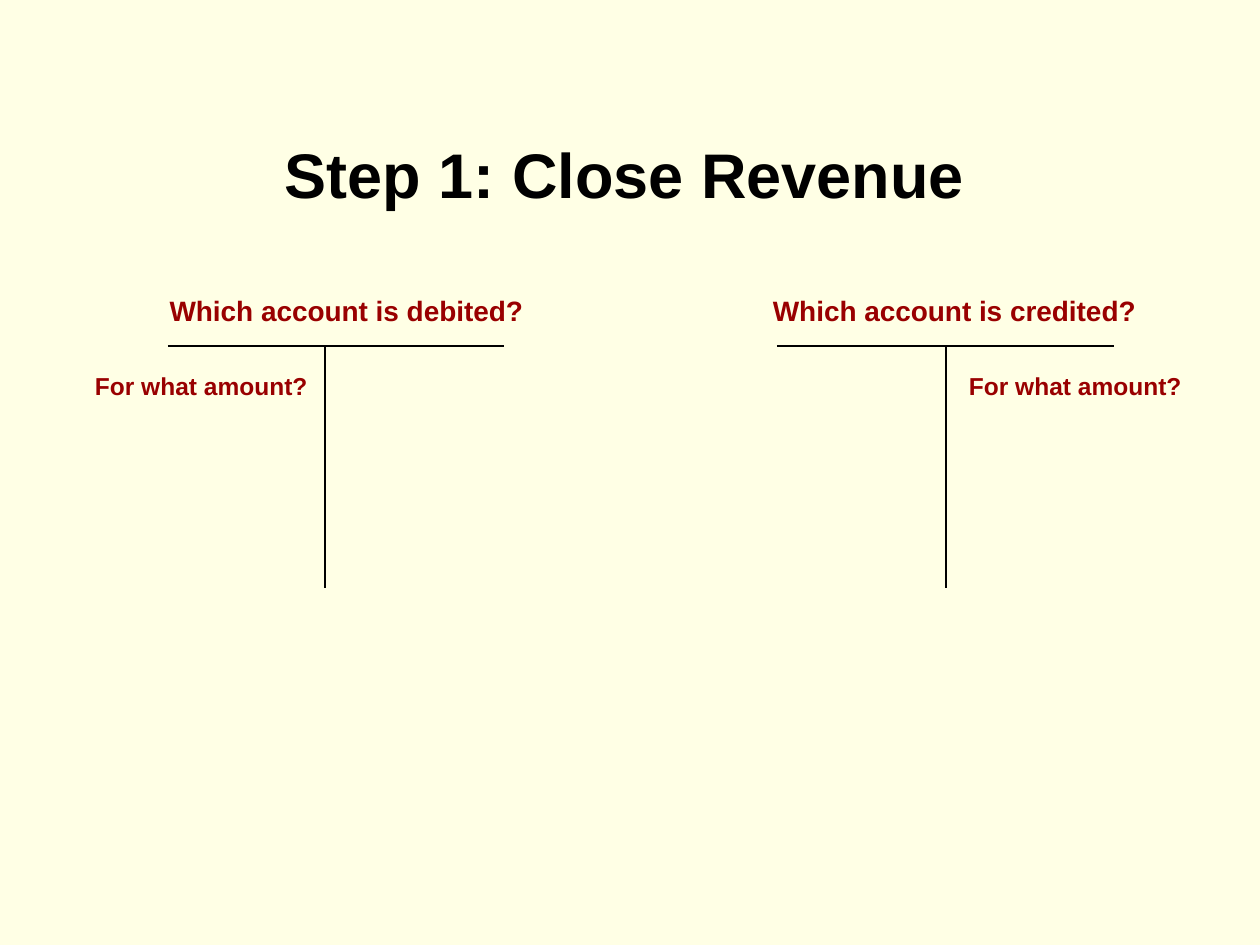
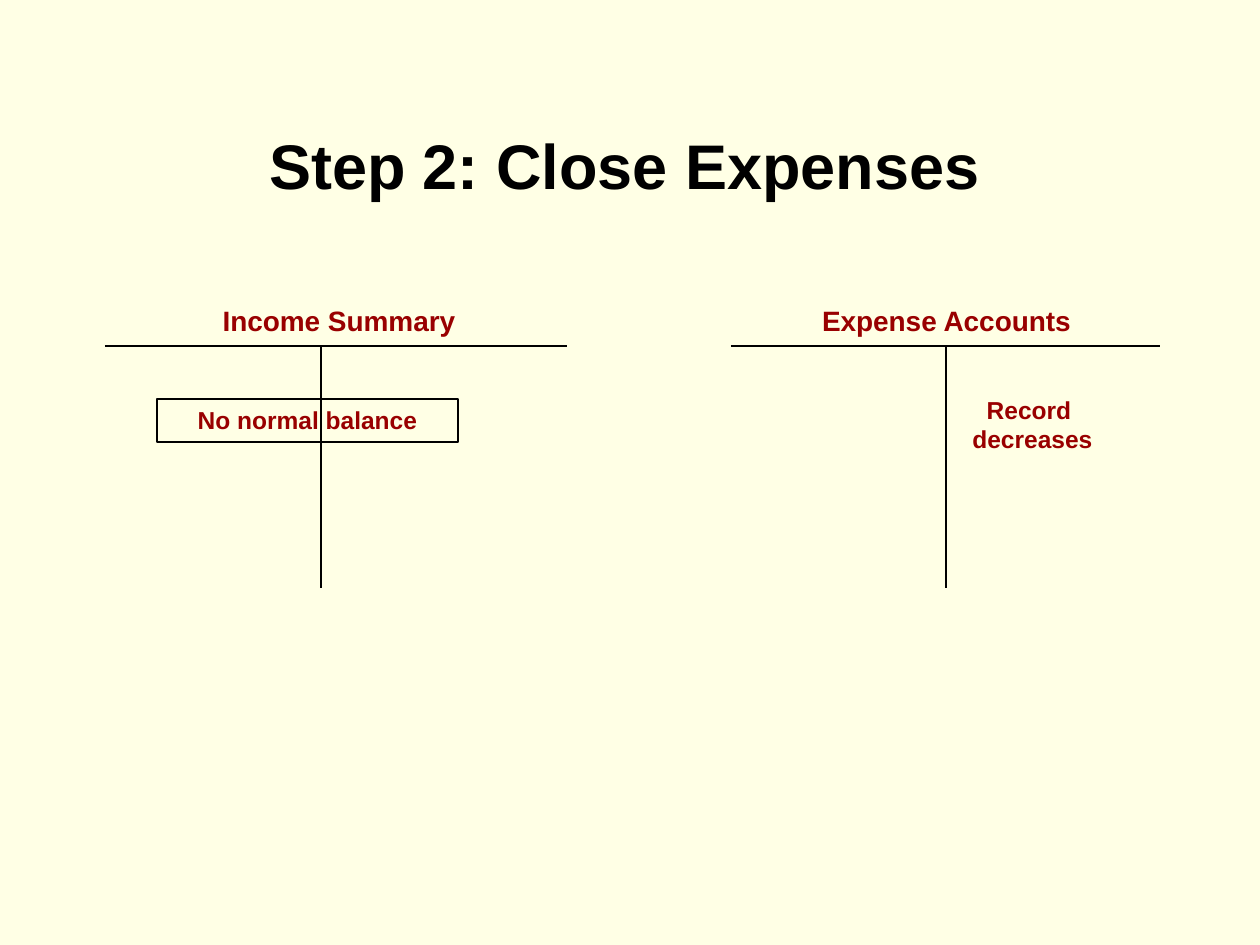
from dataclasses import dataclass
from typing import Any

from lxml.etree import SubElement
from pptx import Presentation
from pptx.dml.color import RGBColor
from pptx.enum.shapes import MSO_CONNECTOR, MSO_SHAPE
from pptx.enum.text import MSO_ANCHOR, PP_ALIGN
from pptx.oxml.ns import qn
from pptx.slide import Slide
from pptx.util import Emu, Pt

PX_PER_INCH = 126
EMU_PER_INCH = 914400


@dataclass(frozen=True)
class Theme:
    background: RGBColor = RGBColor(0xFF, 0xFF, 0xE5)
    ink: RGBColor = RGBColor(0, 0, 0)
    accent: RGBColor = RGBColor(0x99, 0, 0)
    font: str = "Arial"
    title_size: int = 36
    heading_size: int = 16
    entry_size: int = 14
    line_width: float = 0.75


THEME = Theme()


@dataclass(frozen=True)
class Label:
    """Text in a box; lengths in px."""
    lines: tuple[str, ...]
    left: int
    top: int
    width: int
    height: int
    size: int
    color: RGBColor = THEME.accent
    align: PP_ALIGN = PP_ALIGN.CENTER
    inset_left: int = 13
    inset_top: int = 6
    wrap: bool = True
    framed: bool = False


@dataclass(frozen=True)
class TAccount:
    """Horizontal bar from left to right with a stem below it."""
    left: int
    right: int
    stem: int
    top: int = 346
    bottom: int = 588


@dataclass(frozen=True)
class ClosingStep:
    title: str
    title_top: int
    labels: tuple[Label, ...]
    accounts: tuple[TAccount, ...]


def question(text: str, left: int, width: int, inset_left: int) -> Label:
    return Label((text,), left, 273, width, 63, THEME.heading_size,
                 inset_left=inset_left, inset_top=21)


def amount_prompt(left: int) -> Label:
    return Label(("For what amount?",), left, 365, 325, 43, THEME.entry_size,
                 align=PP_ALIGN.LEFT, inset_left=40)


def account_name(text: str, left: int, width: int) -> Label:
    return Label((text,), left, 298, width, 47, THEME.heading_size, wrap=False)


STEPS = (
    ClosingStep(
        "Step 1: Close Revenue", 130,
        (question("Which account is debited?", 95, 462, 54),
         amount_prompt(55),
         question("Which account is credited?", 733, 433, 23),
         amount_prompt(929)),
        (TAccount(168, 504, 325), TAccount(777, 1114, 946)),
    ),
    ClosingStep(
        "Step 2: Close Expenses", 121,
        (account_name("Income Summary", 206, 266),
         account_name("Expense Accounts", 809, 275),
         Label(("Record ", "decreases"), 958, 389, 149, 72, THEME.entry_size,
               wrap=False),
         Label(("No normal balance",), 157, 399, 301, 43, THEME.entry_size,
               framed=True)),
        (TAccount(105, 567, 321), TAccount(731, 1160, 946)),
    ),
)


def px(length: int) -> Emu:
    return Emu(round(length * EMU_PER_INCH / PX_PER_INCH))


def apply_format(target: Any, values: dict[str, Any]) -> None:
    for attribute, value in values.items():
        setattr(target, attribute, value)


def draw_label(slide: Slide, label: Label) -> None:
    bounds = [px(v) for v in (label.left, label.top, label.width, label.height)]
    if label.framed:
        holder = slide.shapes.add_shape(MSO_SHAPE.RECTANGLE, *bounds)
        holder.shadow.inherit = False
        holder.fill.background()
        holder.line.color.rgb = THEME.ink
        holder.line.width = Pt(THEME.line_width)
    else:
        holder = slide.shapes.add_textbox(*bounds)
    frame = holder.text_frame
    apply_format(frame, {
        "word_wrap": label.wrap,
        "vertical_anchor": MSO_ANCHOR.TOP,
        "margin_left": px(label.inset_left),
        "margin_top": px(label.inset_top),
        "margin_right": px(13),
        "margin_bottom": px(6),
    })
    frame.text = "\n".join(label.lines)
    for paragraph in frame.paragraphs:
        paragraph.alignment = label.align
        for run in paragraph.runs:
            apply_format(run.font, {
                "name": THEME.font, "size": Pt(label.size), "bold": True})
            run.font.color.rgb = label.color


def draw_line(slide: Slide, x1: int, y1: int, x2: int, y2: int) -> None:
    line = slide.shapes.add_connector(
        MSO_CONNECTOR.STRAIGHT, px(x1), px(y1), px(x2), px(y2))
    line.line.color.rgb = THEME.ink
    line.line.width = Pt(THEME.line_width)
    SubElement(line._element.spPr, qn("a:effectLst"))


def draw_account(slide: Slide, account: TAccount) -> None:
    draw_line(slide, account.left, account.top, account.right, account.top)
    draw_line(slide, account.stem, account.top, account.stem, account.bottom)


def draw_step(slide: Slide, step: ClosingStep) -> None:
    slide.background.fill.solid()
    slide.background.fill.fore_color.rgb = THEME.background
    draw_label(slide, Label((step.title,), 220, step.title_top, 809, 88,
                            THEME.title_size, THEME.ink))
    for label in step.labels:
        draw_label(slide, label)
    for account in step.accounts:
        draw_account(slide, account)


def main() -> None:
    deck = Presentation()
    deck.slide_width, deck.slide_height = px(1260), px(945)
    blank = deck.slide_layouts[6]
    for step in STEPS:
        draw_step(deck.slides.add_slide(blank), step)
    deck.save("out.pptx")


if __name__ == "__main__":
    main()
